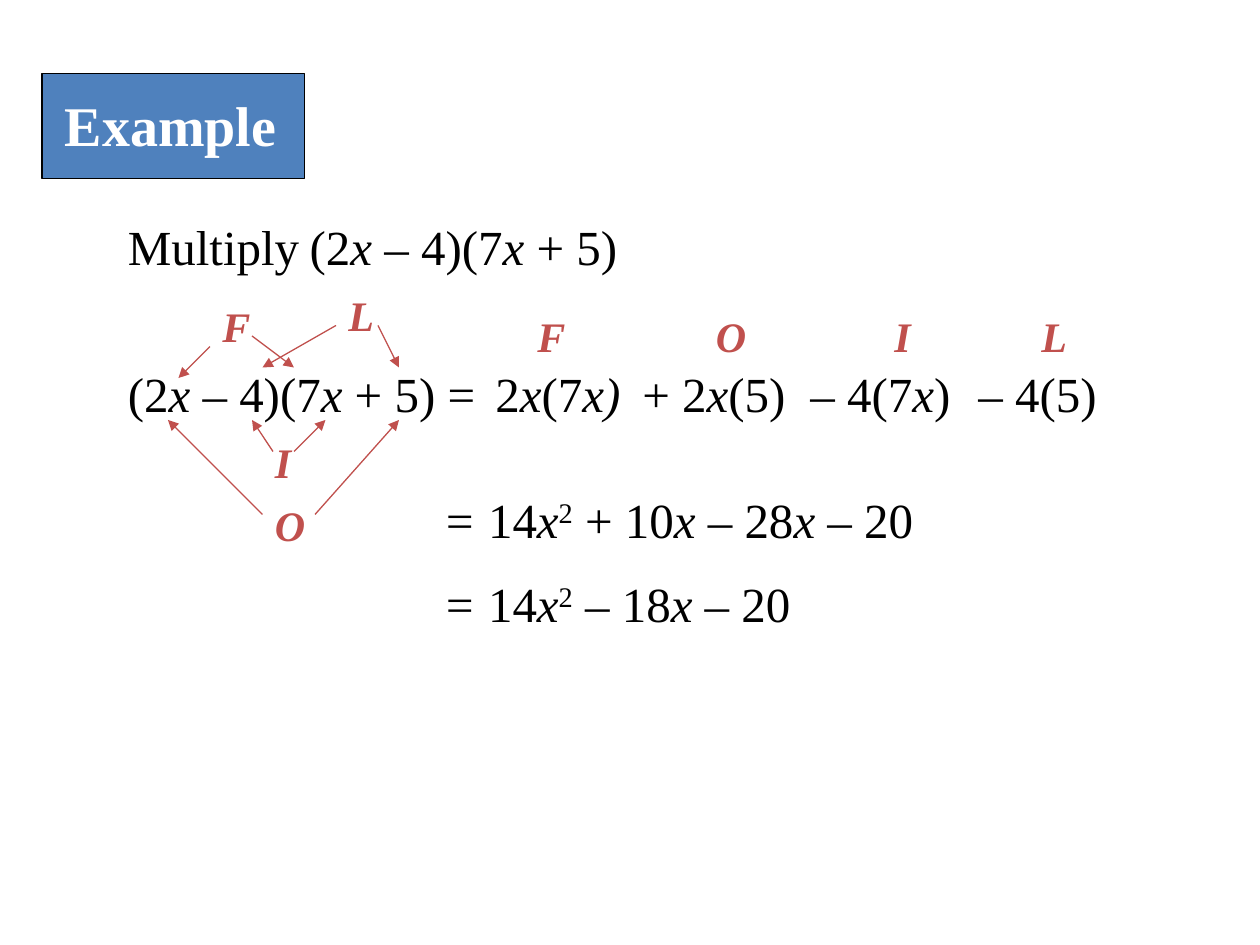
from lxml.etree import SubElement
from pptx import Presentation
from pptx.dml.color import RGBColor
from pptx.enum.shapes import MSO_CONNECTOR, MSO_SHAPE
from pptx.oxml.ns import qn
from pptx.util import Pt

FONT = "Times New Roman"
COLORS = {"text": "000000", "title": "FFFFFF", "banner": "4F81BD", "foil": "C0504D"}

prs = Presentation()
prs.slide_width, prs.slide_height = Pt(720), Pt(540)
s = prs.slides.add_slide(prs.slide_layouts[6])


def add_text(x, y, w, h, text, size=28, color="text", bold=False):
    tb = s.shapes.add_textbox(Pt(x), Pt(y), Pt(w), Pt(h))
    tf = tb.text_frame
    tf.word_wrap = True
    p = tf.paragraphs[0]
    p.font.name = FONT
    p.font.size = Pt(size)
    p.font.bold = bold
    p.font.color.rgb = RGBColor.from_string(COLORS[color])
    for part in text.split("|"):
        r = p.add_run()
        r.text = part.lstrip("*^~")
        if part.startswith("*"):
            r.font.italic = True
        elif part.startswith("^"):
            r.font._element.set("baseline", "30000")
        elif part.startswith("~"):
            r.font.size = Pt(24)


def add_arrow(x1, y1, x2, y2):
    c = s.shapes.add_connector(MSO_CONNECTOR.STRAIGHT, Pt(x1), Pt(y1), Pt(x2), Pt(y2))
    c.line.color.rgb = RGBColor.from_string(COLORS["foil"])
    c.line.width = Pt(0.75)
    SubElement(c.line._get_or_add_ln(), qn("a:tailEnd"), type="triangle")
    SubElement(c._element.spPr, qn("a:effectLst"))


banner = s.shapes.add_shape(MSO_SHAPE.RECTANGLE, Pt(24), Pt(42), Pt(150), Pt(60))
banner.shadow.inherit = False
banner.fill.solid()
banner.fill.fore_color.rgb = RGBColor.from_string(COLORS["banner"])
banner.line.color.rgb = RGBColor.from_string(COLORS["text"])
banner.line.width = Pt(0.75)
add_text(30, 48, 138, 46, "Example", 32, "title", True)

equations = [
    (66, 120, 306, "Multiply|~ |(2|*x| – 4)(7|*x| + 5)"),
    (66, 204, 216, "(2|*x| – 4)(7|*x| + 5) ="),
    (276, 204, 90, "2|*x|(7|*x)"),
    (360, 204, 114, "+ 2|*x|(5)"),
    (456, 204, 96, "– 4(7|*x|)"),
    (552, 204, 90, "– 4(5)"),
    (246, 276, 288, "*= |14|*x|^2| + 10|*x| – 28|*x| – 20"),
    (246, 324, 288, "*= |14|*x|^2| – 18|*x| – 20"),
]
for x, y, w, text in equations:
    add_text(x, y, w, 41, text)

foil_labels = [
    ("F", 120, 168), ("L", 192, 162), ("I", 150, 246), ("O", 150, 282),
    ("F", 300, 174), ("O", 402, 174), ("I", 504, 174), ("L", 588, 174),
]
for letter, x, y in foil_labels:
    add_text(x, y, 42, 36, "*" + letter, 24, "foil", True)

foil_arrows = [
    (120, 198, 102, 216), (144, 192, 168, 210),
    (192, 186, 150, 210), (216, 186, 228, 210),
    (156, 258, 144, 240), (168, 258, 186, 240),
    (150, 294, 96, 240), (180, 294, 228, 240),
]
for ends in foil_arrows:
    add_arrow(*ends)

prs.save("out.pptx")
